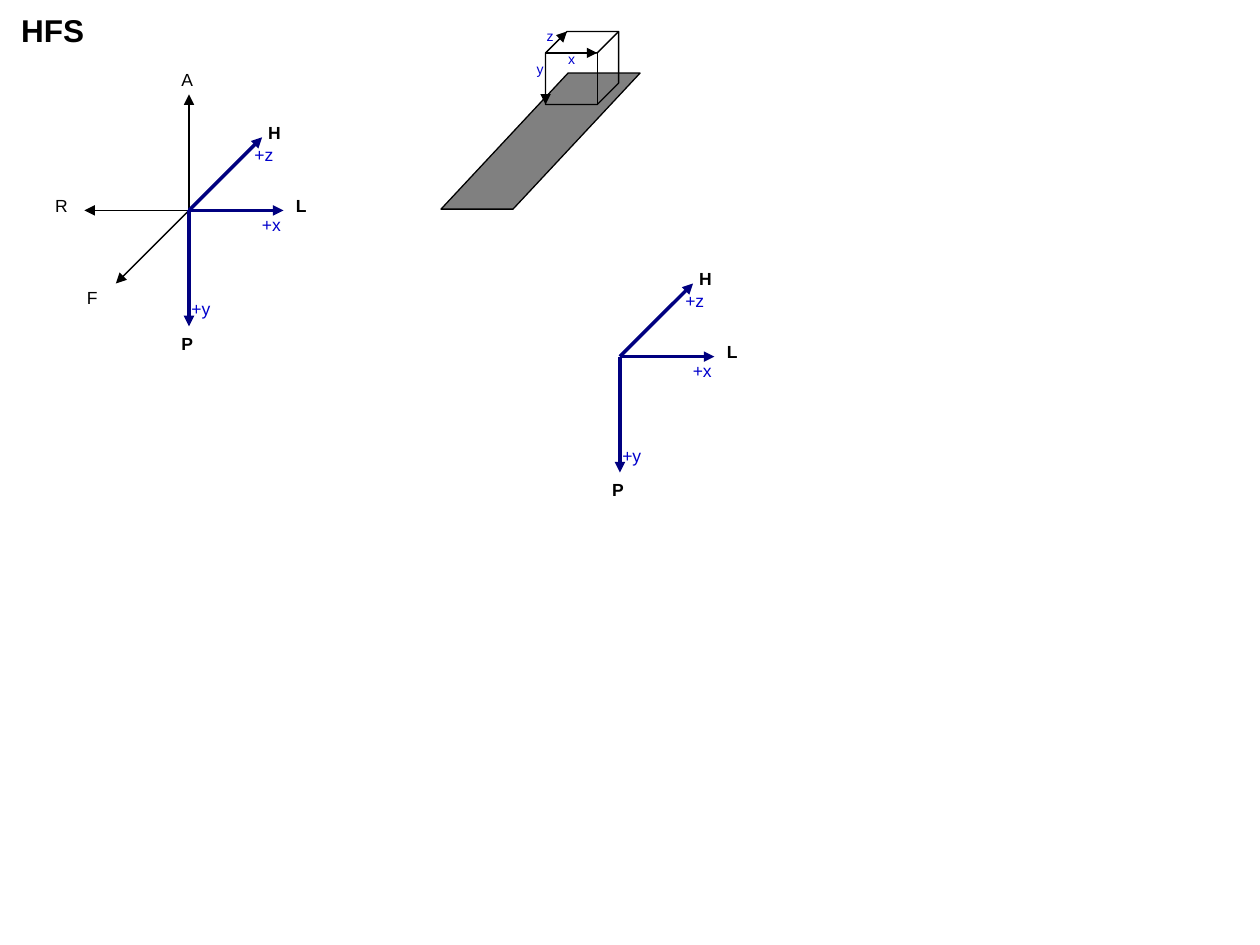
from dataclasses import dataclass

from pptx import Presentation
from pptx.dml.color import RGBColor
from pptx.enum.shapes import MSO_CONNECTOR, MSO_SHAPE
from pptx.enum.text import MSO_AUTO_SIZE
from pptx.oxml.ns import qn
from pptx.util import Inches, Pt
from lxml.etree import SubElement


@dataclass(frozen=True)
class Theme:
    font: str = "Arial"
    black: RGBColor = RGBColor(0x00, 0x00, 0x00)
    navy: RGBColor = RGBColor(0x00, 0x00, 0x80)
    blue: RGBColor = RGBColor(0x00, 0x00, 0xCC)
    gray: RGBColor = RGBColor(0x80, 0x80, 0x80)
    title: int = 18
    label: int = 10
    small: int = 8
    thin: float = 0.75
    thick: float = 2


T = Theme()


def add_label(s, text, x, y, w, h, size=T.label, color=T.black, bold=False):
    tb = s.shapes.add_textbox(Inches(x), Inches(y), Inches(w), Inches(h))
    tf = tb.text_frame
    tf.word_wrap = False
    tf.auto_size = MSO_AUTO_SIZE.SHAPE_TO_FIT_TEXT
    r = tf.paragraphs[0].add_run()
    r.text = text
    r.font.name = T.font
    r.font.size = Pt(size)
    r.font.bold = bold
    r.font.color.rgb = color


def add_arrow(s, x, y, dx, dy, color=T.black, width=T.thin):
    c = s.shapes.add_connector(MSO_CONNECTOR.STRAIGHT, Inches(x), Inches(y),
                               Inches(x + dx), Inches(y + dy))
    c.line.color.rgb = color
    c.line.width = Pt(width)
    SubElement(c.line._get_or_add_ln(), qn("a:tailEnd"), type="triangle")
    SubElement(c._element.spPr, qn("a:effectLst"))


def add_solid(s, kind, x, y, w, h, adj, fill=None):
    sp = s.shapes.add_shape(kind, Inches(x), Inches(y), Inches(w), Inches(h))
    sp.adjustments[0] = adj
    sp.shadow.inherit = False
    if fill is None:
        sp.fill.background()
    else:
        sp.fill.solid()
        sp.fill.fore_color.rgb = fill
    sp.line.color.rgb = T.black
    sp.line.width = Pt(T.thin)


def add_positive_axes(s, x, y):
    """Bold x, y and z axes from the origin (x, y)."""
    for dx, dy in ((0, 0.92), (0.75, 0), (0.58, -0.58)):
        add_arrow(s, x, y, dx, dy, T.navy, T.thick)
    # Patient directions
    for text, dx, dy, w in (("H", 0.53, -0.75, 0.3), ("L", 0.75, -0.17, 0.28),
                            ("P", -0.16, 0.92, 0.29)):
        add_label(s, text, x + dx, y + dy, w, 0.27, bold=True)
    # Axis names
    for text, dx, dy in (("+x", 0.48, -0.02), ("+z", 0.42, -0.58),
                         ("+y", -0.08, 0.65)):
        add_label(s, text, x + dx, y + dy, 0.35, 0.27, color=T.blue)


def add_negative_axes(s, x, y):
    """Thin opposite axes from the origin (x, y)."""
    for dx, dy in ((0, -0.92), (-0.83, 0), (-0.58, 0.58)):
        add_arrow(s, x, y, dx, dy)
    for text, dx, dy, w in (("A", -0.16, -1.17, 0.29), ("R", -1.16, -0.17, 0.3),
                            ("F", -0.91, 0.56, 0.28)):
        add_label(s, text, x + dx, y + dy, w, 0.27)


def add_table_and_cube(s, x, y):
    """Slanted table with a voxel cube at its far end, from top left (x, y)."""
    add_solid(s, MSO_SHAPE.PARALLELOGRAM, x, y + 0.33, 1.58, 1.08, 0.934, T.gray)
    side, depth = 0.58, 0.17
    cx, front = x + 0.83, side - depth
    add_solid(s, MSO_SHAPE.CUBE, cx, y, side, side, depth / side)
    for dx, dy in ((0, front), (front, 0), (depth, -depth)):
        add_arrow(s, cx, y + depth, dx, dy)
    for text, dx, dy in (("z", -0.09, -0.08), ("y", -0.17, 0.18), ("x", 0.08, 0.1)):
        add_label(s, text, cx + dx, y + dy, 0.25, 0.24, T.small, T.blue)


def main():
    prs = Presentation()
    prs.slide_width, prs.slide_height = Inches(10), Inches(7.5)
    s = prs.slides.add_slide(prs.slide_layouts[6])

    # Title
    add_label(s, "HFS", 0.07, 0.04, 0.7, 0.4, T.title, bold=True)
    # Full patient axes
    add_negative_axes(s, 1.5, 1.67)
    add_positive_axes(s, 1.5, 1.67)
    # Positive axes alone
    add_positive_axes(s, 4.92, 2.83)
    # Table and cube
    add_table_and_cube(s, 3.5, 0.25)

    prs.save("out.pptx")


if __name__ == "__main__":
    main()
